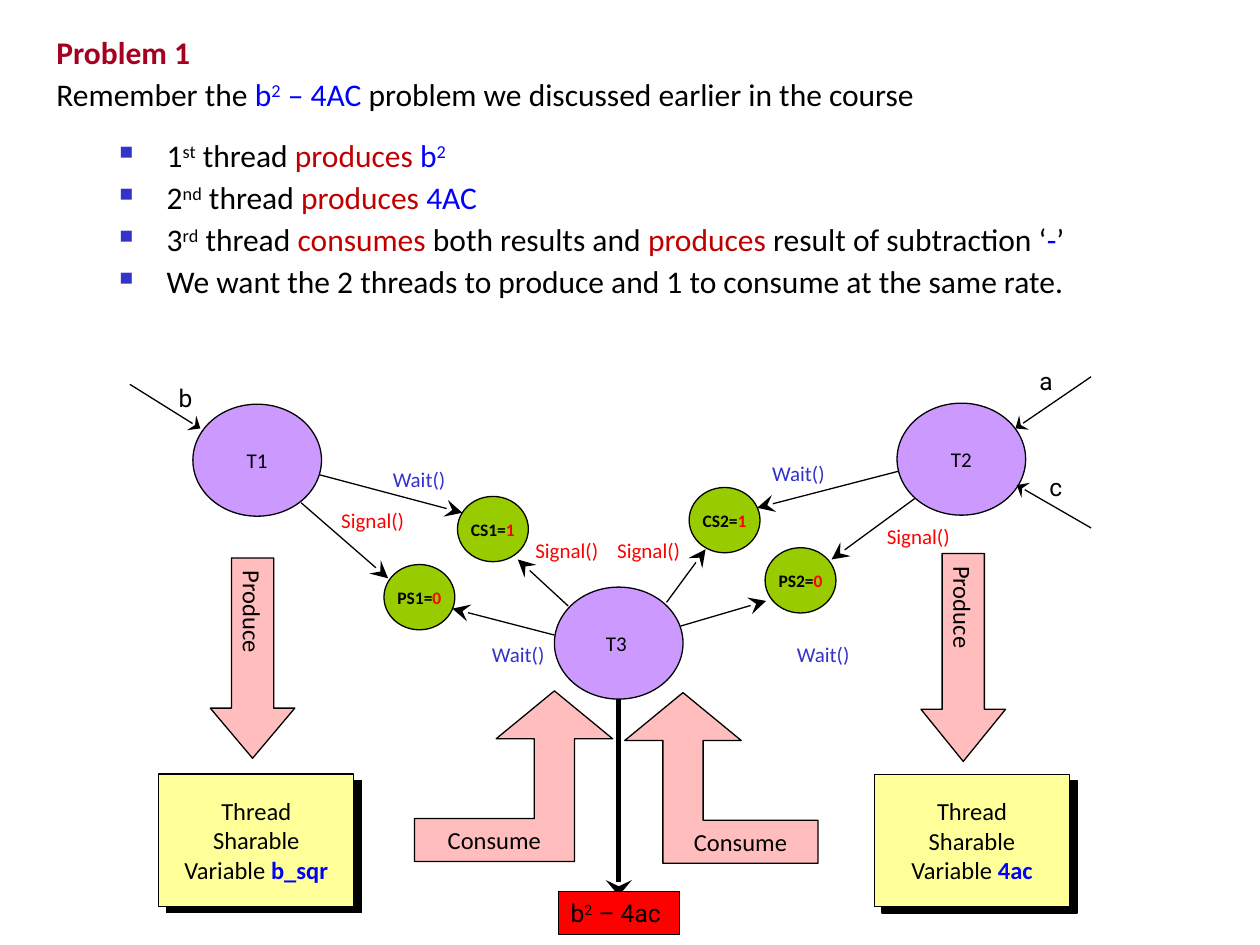
import pptx
import pptx.dml.color
import pptx.enum.shapes
import pptx.enum.text
import pptx.oxml
import pptx.oxml.ns
import pptx.util
from lxml import etree

Pt = pptx.util.Pt
SHAPE = pptx.enum.shapes.MSO_SHAPE
ALIGN = pptx.enum.text.PP_ALIGN
ANCHOR = pptx.enum.text.MSO_ANCHOR
qn = pptx.oxml.ns.qn

BLACK, BLUE, RED, DARK_RED, INDIGO = "000000", "0000FF", "FF0000", "C00000", "3333CC"
LILAC, GREEN, PINK, YELLOW = "CC99FF", "99CC00", "FFBDBD", "FFFF99"


def rgb(value):
    return pptx.dml.color.RGBColor.from_string(value)


def write(paragraph, text, font="Calibri", size=12, color=BLACK, bold=False, raised=False):
    """Add one run of text to the paragraph."""
    run = paragraph.add_run()
    run.text = text
    run.font.name = font
    run.font.size = Pt(size)
    run.font.color.rgb = rgb(color)
    run.font.bold = bold
    if raised:
        run._r.get_or_add_rPr().set("baseline", "30000")


def add_bullet(paragraph, left=63, hanging=27):
    properties = paragraph._p.get_or_add_pPr()
    properties.set("marL", str(Pt(left)))
    properties.set("indent", str(-Pt(hanging)))
    color = etree.SubElement(properties, qn("a:buClr"))
    etree.SubElement(color, qn("a:srgbClr"), val=INDIGO)
    etree.SubElement(properties, qn("a:buSzPct"), val="60000")
    etree.SubElement(properties, qn("a:buChar"), char="■")


class Diagram:
    """Draws styled elements on the current slide."""

    def __init__(self, slide):
        self.slide = slide
        self.shapes = slide.shapes

    def start_group(self):
        self.shapes = self.slide.shapes.add_group_shape().shapes

    def fill_text(self, shape, lines, align=ALIGN.CENTER, anchor=ANCHOR.MIDDLE, wrap=False, **style):
        """Each line is a list of (text, format overrides) pairs."""
        frame = shape.text_frame
        frame.word_wrap = wrap
        frame.vertical_anchor = anchor
        for index, line in enumerate(lines):
            paragraph = frame.add_paragraph() if index else frame.paragraphs[0]
            paragraph.alignment = align
            for text, overrides in line:
                write(paragraph, text, **{**style, **overrides})
        return frame

    def paint(self, shape, fill):
        shape.shadow.inherit = False
        shape.fill.solid()
        shape.fill.fore_color.rgb = rgb(fill)
        shape.line.color.rgb = rgb(BLACK)
        shape.line.width = Pt(0.75)

    def shape(self, kind, left, top, width, height, fill):
        shape = self.shapes.add_shape(kind, Pt(left), Pt(top), Pt(width), Pt(height))
        self.paint(shape, fill)
        return shape

    def text(self, left, top, width, height, lines, align=ALIGN.LEFT, **style):
        box = self.shapes.add_textbox(Pt(left), Pt(top), Pt(width), Pt(height))
        return self.fill_text(box, lines, align, ANCHOR.TOP, True, **style)

    def arrow(self, start, end, width=0.75, length="lg"):
        connector = self.shapes.add_connector(
            pptx.enum.shapes.MSO_CONNECTOR.STRAIGHT, *(Pt(value) for value in (*start, *end)))
        connector.line.color.rgb = rgb(BLACK)
        connector.line.width = Pt(width)
        line = connector.line._get_or_add_ln()
        etree.SubElement(line, qn("a:tailEnd"), type="stealth", w="lg", len=length)
        etree.SubElement(connector._element.spPr, qn("a:effectLst"))

    def thread(self, left, top, name):
        shape = self.shape(SHAPE.OVAL, left, top, 73.5, 64, LILAC)
        self.fill_text(shape, [[(name, {})]])

    def semaphore(self, left, top, name, value):
        shape = self.shape(SHAPE.OVAL, left, top, 40.5, 37.3, GREEN)
        self.fill_text(shape, [[(name + "=", {}), (value, {"color": RED})]], size=10, bold=True)

    def variable(self, left, top, name):
        self.shape(SHAPE.RECTANGLE, left + 4.3, top + 3.6, 111.5, 75.6, BLACK)
        shape = self.shape(SHAPE.RECTANGLE, left, top, 111.5, 75.6, YELLOW)
        last = [("Variable ", {}), (name, {"color": BLUE, "bold": True})]
        self.fill_text(shape, [[("Thread", {})], [("Sharable", {})], last], size=14)

    def produce(self, left, top, height, head):
        shape = self.shape(SHAPE.DOWN_ARROW, left, top, 48.3, height, PINK)
        shape.adjustments[0], shape.adjustments[1] = 0.5, head
        frame = self.fill_text(shape, [[("Produce", {})]], size=14)
        frame.margin_left = frame.margin_right = Pt(3.6)
        frame.margin_top = frame.margin_bottom = Pt(7.2)
        shape._element.txBody.find(qn("a:bodyPr")).set("vert", "eaVert")

    def consume(self, tip_x, tip_y, side, reach):
        """Elbow arrow pointing up, its foot running to the given side (-1 left, 1 right)."""
        head, shaft, neck, foot_top, foot_bottom = 33.3, 11.5, 27.4, 73, 97.5
        outline = [(0, 0), (head, neck), (shaft, neck), (shaft, foot_top), (reach, foot_top),
                   (reach, foot_bottom), (-shaft, foot_bottom), (-shaft, neck), (-head, neck)]
        points = [(Pt(tip_x + side * x), Pt(tip_y + y)) for x, y in outline]
        builder = self.shapes.build_freeform(*points[0])
        builder.add_line_segments(points[1:], close=True)
        shape = builder.convert_to_shape()
        self.paint(shape, PINK)
        frame = self.fill_text(shape, [[("Consume", {})]], size=14)
        frame.margin_top = Pt(foot_top + 3.6)
        inner = Pt(head - shaft + 7.2)
        if side < 0:
            frame.margin_right = inner
        else:
            frame.margin_left = inner


def add_problem(diagram):
    blue, red, raised = {"color": BLUE}, {"color": DARK_RED}, {"raised": True}
    square = ("2", {**blue, **raised})
    lines = [
        [("Problem 1", {"color": "A50021", "bold": True})],
        [("Remember the ", {}), ("b", blue), square, (" – 4AC", blue),
         (" problem we discussed earlier in the course", {})],
        [("1", {}), ("st", raised), (" thread ", {}), ("produces ", red), ("b", blue), square],
        [("2", {}), ("nd", raised), (" thread ", {}), ("produces ", red), ("4AC", blue)],
        [("3", {}), ("rd", raised), (" thread ", {}), ("consumes", red),
         (" both results and ", {}), ("produces", red), (" result of subtraction ‘", {}),
         ("-", blue), ("’", {})],
        [("We want the 2 threads to produce and 1 to consume at the same rate.", {})],
    ]
    frame = diagram.text(25.2, 18, 684, 186.5, lines, size=18)
    for index, paragraph in enumerate(frame.paragraphs):
        paragraph.line_spacing = 0.9
        paragraph.space_before = Pt({0: 0, 2: 15.3}.get(index, 4.5))
        if index >= 2:
            add_bullet(paragraph)


def add_threads_diagram(diagram):
    diagram.start_group()
    for start, end in [
        ((182.9, 271.4), (264.2, 293)), ((172.1, 287.3), (221.8, 330.5)),
        ((316.8, 362.9), (258.5, 347.8)), ((324.7, 346.3), (295.9, 319.7)),
        ((513.4, 269.3), (432.7, 290.2)), ((380.9, 344.2), (403.2, 313.9)),
        ((388.8, 357.8), (437.8, 343.4)), ((523.4, 284.4), (475.2, 319.7)),
    ]:
        diagram.arrow(start, end)

    diagram.variable(90.7, 442.3, "b_sqr")
    diagram.variable(499.7, 442.5, "4ac")
    for left, top, name in [(316.8, 335.5, "T3 "), (110.2, 231, "T1"), (512.6, 230.4, "T2")]:
        diagram.thread(left, top, name)
    diagram.produce(120.2, 318.8, 114.5, 0.593)
    diagram.produce(526.3, 316.3, 118.8, 0.616)
    diagram.consume(316.8, 394.8, -1, 80)
    diagram.consume(390.3, 395.8, 1, 77.1)

    left, right = ALIGN.LEFT, ALIGN.RIGHT
    for x, y, width, name, align in [
        (187.9, 286.6, 81.4, "Signal()", left), (217.4, 262.8, 76.3, "Wait()", left),
        (220.3, 362.9, 97.9, "Wait()", right), (298.8, 303.8, 62.6, "Signal()", left),
        (434.2, 259.9, 76.3, "Wait()", left), (345.6, 303.8, 81.4, "Signal()", left),
        (499.7, 295.9, 81.4, "Signal()", left), (394.6, 362.9, 97.9, "Wait()", right),
    ]:
        color = RED if name == "Signal()" else INDIGO
        diagram.text(x, y, width, 21.6, [[(name, {})]], align, color=color)

    for x, y, name, value in [(219.4, 322.6, "PS1", "0"), (261.4, 283.7, "CS1", "1"),
                              (437.2, 313, "PS2", "0"), (393.8, 278.6, "CS2", "1")]:
        diagram.semaphore(x, y, name, value)

    for start, end, x, y, name in [
        ((74.2, 219.6), (114.5, 244.8), 95, 215.3, "b"),
        ((623.5, 215.3), (580.3, 244.8), 586.8, 205.9, "a"),
        ((623.5, 301.7), (581, 277.2), 592.6, 266.4, "c"),
    ]:
        diagram.arrow(start, end, length="med")
        diagram.text(x, y, 19.5, 24.5, [[(name, {})]], font="Roboto", size=14)

    diagram.arrow((353.6, 399.6), (353.6, 511.9), width=3, length="med")
    result = diagram.shape(SHAPE.RECTANGLE, 319, 509.6, 69.2, 24.3, RED)
    diagram.fill_text(result, [[("b", {}), ("2", {"raised": True}), (" – 4ac", {})]],
                      ALIGN.LEFT, ANCHOR.TOP, True, font="Roboto", size=14)


def main():
    presentation = pptx.Presentation()
    presentation.slide_width, presentation.slide_height = Pt(720), Pt(540)
    slide = presentation.slides.add_slide(presentation.slide_layouts[6])
    diagram = Diagram(slide)
    add_problem(diagram)
    add_threads_diagram(diagram)
    presentation.save("out.pptx")


if __name__ == "__main__":
    main()
